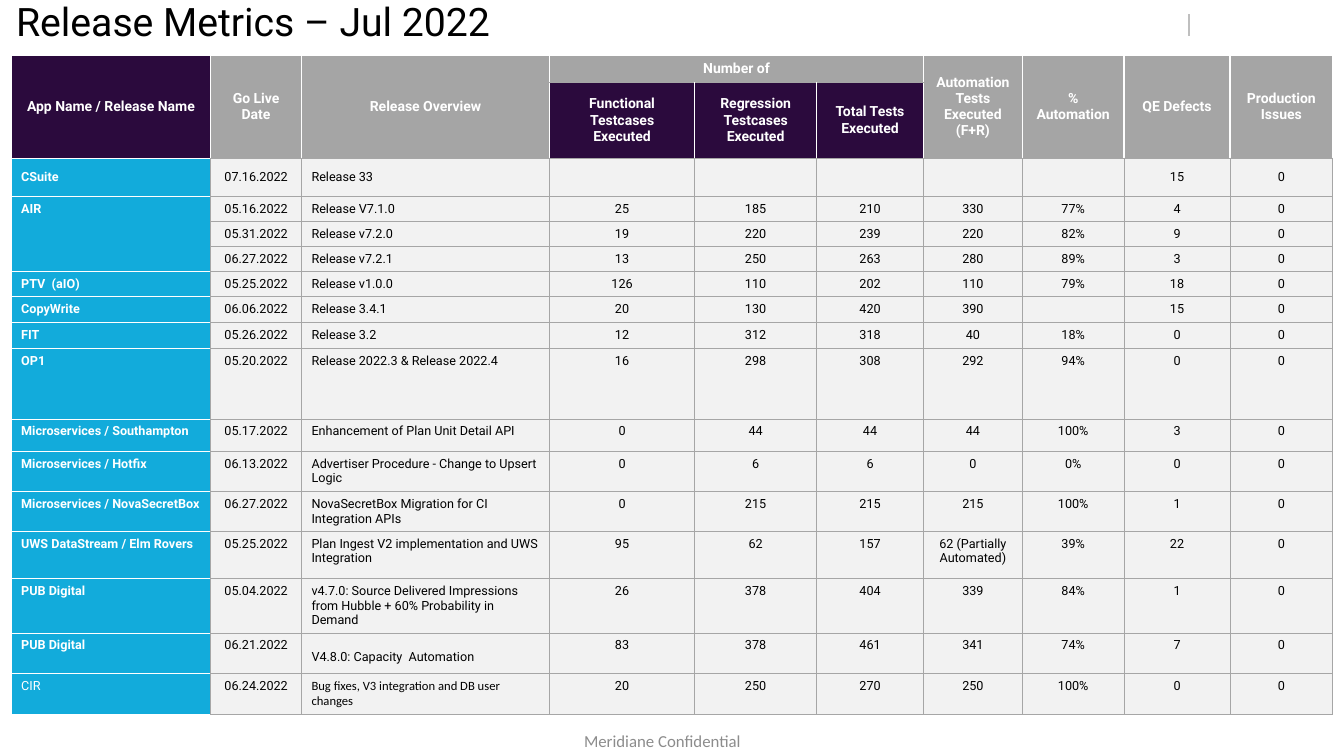
from lxml import etree
from pptx import Presentation
from pptx import util as u
from pptx.dml.color import RGBColor
from pptx.enum import shapes, text
from pptx.oxml.ns import qn

HUES = {"white": "FFFFFF", "black": "000000", "plum": "2B0A3D", "gray": "A5A5A5",
        "blue": "12ABDB", "pale": "F2F2F2", "rule": "A6A6A6", "tick": "BFBFBF",
        "foot": "8C8C8C"}
COLS = [1.98, 0.9, 2.46, 1.44, 1.21, 1.06, 0.98, 1.01, 1.05, 1.02]
ROWS = [0.27, 0.73, 0.38, 0.25, 0.25, 0.24, 0.25, 0.25, 0.26, 0.7, 0.32, 0.4,
        0.39, 0.47, 0.53, 0.4, 0.4]
HEADS = [
    ["App Name / Release Name", "Go Live Date", "Release Overview", "Number of", "", "",
     "Automation Tests Executed (F+R)", "% Automation", "QE Defects", "Production Issues"],
    ["", "", "", "Functional Testcases Executed", "Regression Testcases Executed",
     "Total Tests Executed", "", "", "", ""],
]
# app, date, overview, functional, regression, total, automated, share, defects, issues
DATA = [
    ["CSuite", "07.16.2022", "Release 33", "", "", "", "", "", "15", "0"],
    ["AIR", "05.16.2022", "Release V7.1.0", "25", "185", "210", "330", "77%", "4", "0"],
    ["", "05.31.2022", "Release v7.2.0", "19", "220", "239", "220", "82%", "9", "0"],
    ["", "06.27.2022", "Release v7.2.1", "13", "250", "263", "280", "89%", "3", "0"],
    ["PTV  (aIO)", "05.25.2022", "Release v1.0.0", "126", "110", "202", "110", "79%", "18", "0"],
    ["CopyWrite", "06.06.2022", "Release 3.4.1", "20", "130", "420", "390", "", "15", "0"],
    ["FIT", "05.26.2022", "Release 3.2", "12", "312", "318", "40", "18%", "0", "0"],
    ["OP1", "05.20.2022", "Release 2022.3 & Release 2022.4",
     "16", "298", "308", "292", "94%", "0", "0"],
    ["Microservices / Southampton", "05.17.2022", "Enhancement of Plan Unit Detail API",
     "0", "44", "44", "44", "100%", "3", "0"],
    ["Microservices / Hotfix", "06.13.2022", "Advertiser Procedure - Change to Upsert Logic",
     "0", "6", "6", "0", "0%", "0", "0"],
    ["Microservices / NovaSecretBox", "06.27.2022",
     "NovaSecretBox Migration for CI Integration APIs",
     "0", "215", "215", "215", "100%", "1", "0"],
    ["UWS DataStream / Elm Rovers", "05.25.2022",
     "Plan Ingest V2 implementation and UWS Integration",
     "95", "62", "157", "62 (Partially Automated)", "39%", "22", "0"],
    ["PUB Digital", "05.04.2022",
     "v4.7.0: Source Delivered Impressions from Hubble + 60% Probability in Demand",
     "26", "378", "404", "339", "84%", "1", "0"],
    ["PUB Digital", "06.21.2022", ["V4.8.0: Capacity", " ", "Automation"],
     "83", "378", "461", "341", "74%", "7", "0"],
    ["CIR", "06.24.2022", "Bug fixes, V3 integration and DB user changes",
     "20", "250", "270", "250", "100%", "0", "0"],
]


def hue(name):
    return RGBColor.from_string(HUES[name])


def style(para, size, color, bold=False, face="Roboto"):
    for run in para.runs:
        font = run.font
        font.size, font.bold, font.name = u.Pt(size), bold, face
        font.color.rgb = hue(color)


def edge(cell, sides):
    """Draw cell borders from {side: (colour, points)}; sides go in L, R, T, B order."""
    props = cell._tc.get_or_add_tcPr()
    for side in "LRTB":
        color, width = sides[side]
        line = etree.SubElement(props, qn("a:ln" + side), w=str(u.Pt(width)))
        fill = etree.SubElement(line, qn("a:solidFill"))
        etree.SubElement(fill, qn("a:srgbClr"), val=HUES[color])


def put(cell, words, size, color, bold, fill, mid, face="Roboto"):
    para = cell.text_frame.paragraphs[0]
    for part in words if isinstance(words, list) else [words]:
        if part:
            para.add_run().text = part
    style(para, size, color, bold, face)
    if not words:  # an empty cell would otherwise stretch its row
        para._p.get_or_add_endParaRPr().set("sz", str(size * 100))
    if mid:
        para.alignment = text.PP_ALIGN.CENTER
    cell.fill.solid()
    cell.fill.fore_color.rgb = hue(fill)
    return para


def head(grid):
    white, thin = ("white", 1), ("rule", 0.75)
    for r, row in enumerate(HEADS):
        for c, words in enumerate(row):
            cell = grid.cell(r, c)
            sub = r == 1 and 3 <= c <= 5
            edge(cell, {"L": white, "R": white, "T": thin if sub else white,
                        "B": thin if c else ("white", 0.75)})
            put(cell, words, 10, "white", True, "plum" if sub or c == 0 else "gray", True)
            cell.vertical_anchor = text.MSO_ANCHOR.MIDDLE
    for c in (0, 1, 2, 6, 7, 8, 9):
        grid.cell(0, c).merge(grid.cell(1, c))
    grid.cell(0, 3).merge(grid.cell(0, 5))


def body(grid):
    thin, light = ("rule", 0.75), ("white", 0.75)
    for r, row in enumerate(DATA, len(HEADS)):
        last = row[0] == "CIR"
        for c, words in enumerate(row):
            cell = grid.cell(r, c)
            if c == 0:
                edge(cell, {"L": ("white", 1), "R": thin, "T": light, "B": light})
                put(cell, words, 9, "white", not last, "blue", False)
            else:
                edge(cell, dict.fromkeys("LRTB", thin))
                face = "Calibri" if last and c == 2 else "Roboto"
                para = put(cell, words, 9, "black", False, "pale", c != 2, face)
                if isinstance(words, list):
                    para.runs[1].font.size = u.Pt(18)
            if r == len(HEADS):
                cell.vertical_anchor = text.MSO_ANCHOR.MIDDLE
    grid.cell(3, 0).merge(grid.cell(5, 0))


def table(slide):
    size = len(ROWS), len(COLS)
    grid = slide.shapes.add_table(*size, u.Inches(0.11), u.Inches(0.55),
                                  u.Inches(sum(COLS)), u.Inches(sum(ROWS))).table
    grid.first_row = grid.horz_banding = False
    for col, width in zip(grid.columns, COLS):
        col.width = u.Inches(width)
    for row, height in zip(grid.rows, ROWS):
        row.height = u.Inches(height)
    head(grid)
    body(grid)


def label(slide, words, area, size, color, face="Roboto"):
    frame = slide.shapes.add_textbox(*map(u.Inches, area)).text_frame
    frame.word_wrap = True
    frame.vertical_anchor = text.MSO_ANCHOR.MIDDLE
    frame.text = words
    style(frame.paragraphs[0], size, color, face=face)
    return frame


def tick(slide):
    x = u.Inches(11.79)
    line = slide.shapes.add_connector(shapes.MSO_CONNECTOR.STRAIGHT,
                                      x, u.Inches(0.14), x, u.Inches(0.36))
    line.line.color.rgb = hue("tick")
    line.line.width = u.Pt(1.5)
    etree.SubElement(line._element.spPr, qn("a:effectLst"))


def main():
    deck = Presentation()
    deck.slide_width, deck.slide_height = u.Inches(13.33), u.Inches(7.5)
    slide = deck.slides.add_slide(deck.slide_layouts[6])
    tick(slide)
    table(slide)
    title = label(slide, "Release Metrics – Jul 2022", (0.16, 0.02, 11.97, 0.43), 28, "black")
    title.margin_left = title.margin_right = title.margin_top = title.margin_bottom = 0
    title.paragraphs[0].line_spacing = 0.9
    foot = label(slide, "Meridiane Confidential", (4.32, 7.15, 4.5, 0.4), 12, "foot", "Calibri")
    foot.paragraphs[0].alignment = text.PP_ALIGN.CENTER
    deck.save("out.pptx")


if __name__ == "__main__":
    main()
